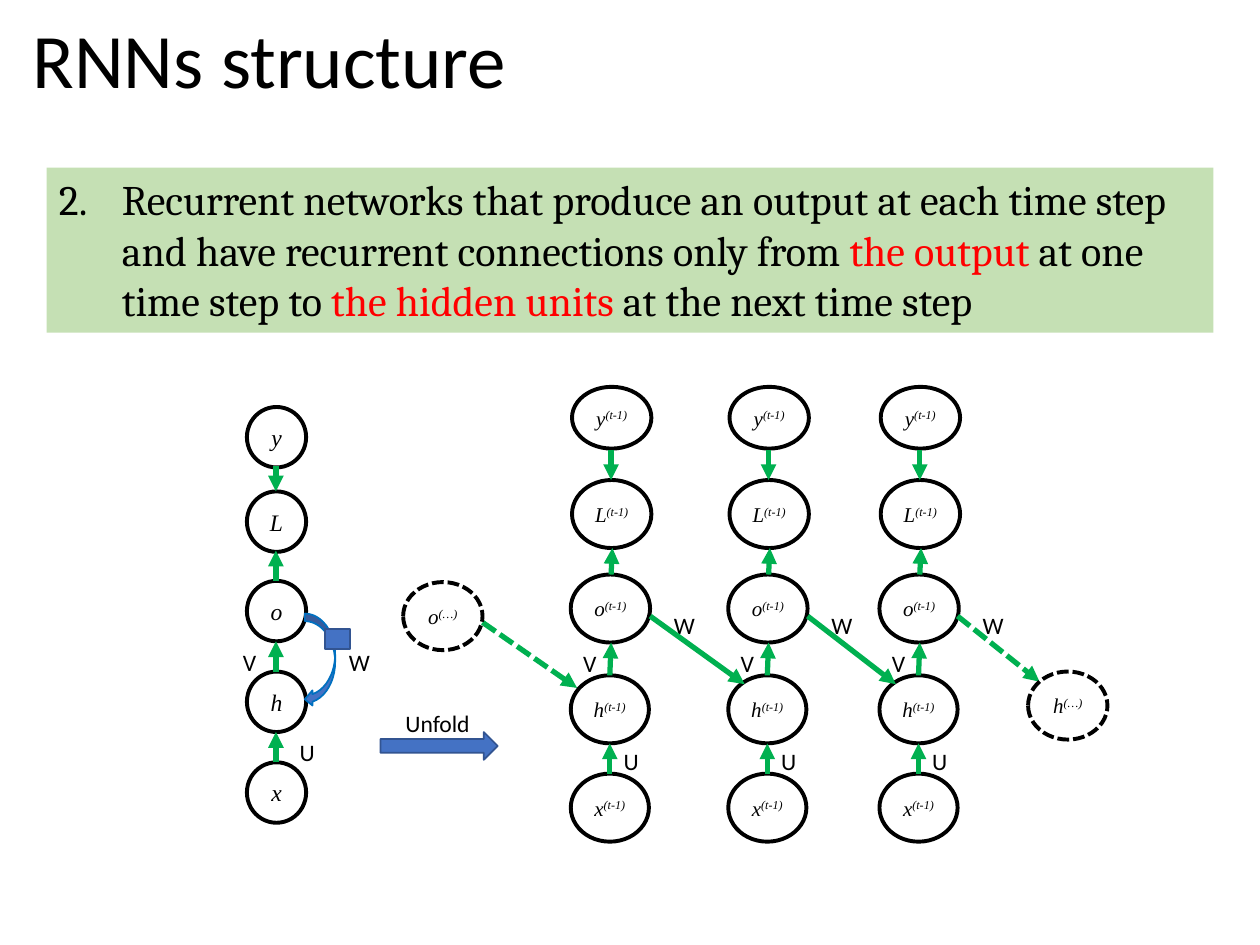
"""Build the slide on recurrent networks with output-to-hidden connections."""
from dataclasses import dataclass
from typing import Optional

from lxml import etree
from pptx import Presentation
from pptx import util as u
from pptx.dml.color import RGBColor
from pptx.enum import dml, shapes, text
from pptx.oxml import ns

COLOURS = {
    "ink": "000000", "edge": "00B050", "accent": "FF0000", "band": "C5E0B4",
    "block": "4472C4", "block_line": "325491", "loop_line": "0070C0",
}
SHAPE = shapes.MSO_SHAPE


@dataclass(frozen=True)
class Node:
    symbol: str
    left: float
    top: float
    width: float = 0.63
    height: float = 0.54
    step: str = ""
    size: float = 12
    dashed: bool = False


@dataclass(frozen=True)
class Edge:
    x1: float
    y1: float
    x2: float
    y2: float
    dashed: bool = False


@dataclass(frozen=True)
class Label:
    words: str
    left: float
    top: float
    width: float
    height: float = 0.33
    size: float = 13.5


@dataclass(frozen=True)
class Block:
    kind: SHAPE
    left: float
    top: float
    width: float
    height: float
    fill: Optional[str] = "block"
    line: Optional[str] = "block_line"
    weight: float = 1


def rgb(name: str) -> RGBColor:
    """Return the named colour."""
    return RGBColor.from_string(COLOURS[name])


def set_font(paragraph, face: str, size: float, italic: bool = False) -> None:
    """Set the common font of a paragraph."""
    font = paragraph.font
    font.name, font.size, font.italic = face, u.Pt(size), italic
    font.color.rgb = rgb("ink")


def draw_block(slide, block: Block):
    """Draw a preset shape with its fill and line."""
    drawn = slide.shapes.add_shape(
        block.kind, *map(u.Inches, (block.left, block.top, block.width, block.height)))
    drawn.shadow.inherit = False
    if block.fill:
        drawn.fill.solid()
        drawn.fill.fore_color.rgb = rgb(block.fill)
    else:
        drawn.fill.background()
    if block.line:
        drawn.line.color.rgb = rgb(block.line)
        drawn.line.width = u.Pt(block.weight)
    else:
        drawn.line.fill.background()
    return drawn


def draw_node(slide, node: Node) -> None:
    """Draw a network unit with its symbol and time step."""
    circle = draw_block(slide, Block(
        SHAPE.OVAL, node.left, node.top, node.width, node.height, None, "ink", 2.25))
    if node.dashed:
        circle.line.dash_style = dml.MSO_LINE.SQUARE_DOT
    frame = circle.text_frame
    frame.margin_left = frame.margin_right = u.Inches(0.07)
    frame.margin_top = frame.margin_bottom = u.Inches(0.04)
    frame.vertical_anchor = text.MSO_ANCHOR.MIDDLE
    symbol = frame.paragraphs[0]
    symbol.alignment = text.PP_ALIGN.CENTER
    set_font(symbol, "Times New Roman", node.size, italic=True)
    symbol.add_run().text = node.symbol
    if node.step:
        step = symbol.add_run()
        step.text = node.step
        step._r.get_or_add_rPr().set("baseline", "30000")


def draw_edge(slide, edge: Edge) -> None:
    """Draw a green arrow between two units."""
    arrow = slide.shapes.add_connector(
        shapes.MSO_CONNECTOR.STRAIGHT,
        *map(u.Inches, (edge.x1, edge.y1, edge.x2, edge.y2)))
    arrow.line.color.rgb = rgb("edge")
    arrow.line.width = u.Pt(3)
    if edge.dashed:
        arrow.line.dash_style = dml.MSO_LINE.SQUARE_DOT
    etree.SubElement(arrow.line._get_or_add_ln(), ns.qn("a:tailEnd"), type="triangle")
    etree.SubElement(arrow._element.spPr, ns.qn("a:effectLst"))


def draw_label(slide, label: Label):
    """Draw a plain text box and return it."""
    box = slide.shapes.add_textbox(
        *map(u.Inches, (label.left, label.top, label.width, label.height)))
    box.text_frame.word_wrap = True
    words = box.text_frame.paragraphs[0]
    set_font(words, "Calibri", label.size)
    words.add_run().text = label.words
    return box


def draw_title(slide) -> None:
    """Draw the slide title."""
    title = draw_label(slide, Label("RNNs structure", 0.16, -0.04, 8.62, 1.09, 44))
    title.text_frame.vertical_anchor = text.MSO_ANCHOR.MIDDLE
    title.text_frame.paragraphs[0].line_spacing = 0.9


def draw_definition(slide) -> None:
    """Draw the numbered definition on its green band."""
    band = draw_block(slide, Block(SHAPE.RECTANGLE, 0.37, 1.33, 9.26, 1.31, "band", None))
    band.text_frame.vertical_anchor = text.MSO_ANCHOR.TOP
    definition = band.text_frame.paragraphs[0]
    definition.alignment = text.PP_ALIGN.LEFT
    properties = definition._p.get_or_add_pPr()
    properties.set("marL", str(u.Inches(0.5)))
    properties.set("indent", str(-u.Inches(0.5)))
    etree.SubElement(properties, ns.qn("a:buFont"), typeface="Calibri")
    etree.SubElement(properties, ns.qn("a:buAutoNum"), type="arabicPeriod", startAt="2")
    set_font(definition, "Cambria", 24)
    for words, colour in (
        ("Recurrent networks that produce an output at each time step "
         "and have recurrent connections only from ", "ink"),
        ("the output ", "accent"),
        ("at one time step to ", "ink"),
        ("the hidden units", "accent"),
        (" at the next time step", "ink"),
    ):
        run = definition.add_run()
        run.text = words
        run.font.color.rgb = rgb(colour)


def draw_folded(slide) -> None:
    """Draw the folded network with its feedback loop."""
    for symbol, top in zip("xhoLy", (6.05, 5.33, 4.61, 3.9, 3.23)):
        draw_node(slide, Node(symbol, 1.96, top, 0.47, 0.48, size=13.5))
    for start, end in ((6.05, 5.81), (3.7, 3.9), (5.33, 5.09), (4.61, 4.37)):
        draw_edge(slide, Edge(2.19, start, 2.19, end))
    draw_block(slide, Block(SHAPE.CURVED_LEFT_ARROW, 2.42, 4.87, 0.24, 0.74, line="loop_line"))
    for label in (Label("W", 2.67, 5.09, 0.25), Label("U", 2.28, 5.81, 0.29),
                  Label("V", 1.83, 5.09, 0.27)):
        draw_label(slide, label)
    draw_block(slide, Block(SHAPE.RECTANGLE, 2.58, 4.99, 0.2, 0.16))


def draw_step(slide, left: float) -> None:
    """Draw one time step of the unfolded network."""
    for symbol, shift, top, width, height in (
        ("x", 0, 6.14, 0.62, 0.54), ("h", 0, 5.36, 0.62, 0.54),
        ("o", 0, 4.56, 0.63, 0.54), ("L", 0.01, 3.81, 0.63, 0.54),
        ("y", 0.01, 3.07, 0.63, 0.49),
    ):
        draw_node(slide, Node(symbol, left + shift, top, width, height, "(t-1)"))
    for x1, y1, x2, y2 in ((0.31, 6.14, 0.31, 5.9), (0.32, 3.57, 0.32, 3.81),
                           (0.31, 5.36, 0.32, 5.1), (0.32, 4.56, 0.33, 4.35)):
        draw_edge(slide, Edge(left + x1, y1, left + x2, y2))
    for label in (Label("W", left + 0.72, 4.8, 0.25), Label("U", left + 0.32, 5.88, 0.29),
                  Label("V", left, 5.1, 0.27)):
        draw_label(slide, label)


def draw_unfolded(slide) -> None:
    """Draw the unfolded network and its links through time."""
    steps = (4.53, 5.78, 6.98)
    for left in steps:
        draw_step(slide, left)
    for left, following in zip(steps, steps[1:]):
        draw_edge(slide, Edge(left + 0.63, 4.89, following + 0.13, 5.43))
    draw_edge(slide, Edge(7.6, 4.89, 8.25, 5.41, dashed=True))
    draw_edge(slide, Edge(3.83, 4.94, 4.58, 5.46, dashed=True))
    draw_node(slide, Node("o", 3.2, 4.62, step="(…)", dashed=True))
    draw_node(slide, Node("h", 8.16, 5.33, step="(…)", dashed=True))


def main() -> None:
    """Build and save the presentation."""
    deck = Presentation()
    deck.slide_width, deck.slide_height = u.Inches(10), u.Inches(7.5)
    slide = deck.slides.add_slide(deck.slide_layouts[6])
    draw_title(slide)
    draw_folded(slide)
    draw_unfolded(slide)
    draw_block(slide, Block(SHAPE.RIGHT_ARROW, 3.02, 5.81, 0.93, 0.22))
    draw_label(slide, Label("Unfold", 3.12, 5.58, 0.74))
    draw_definition(slide)
    deck.save("out.pptx")


if __name__ == "__main__":
    main()
